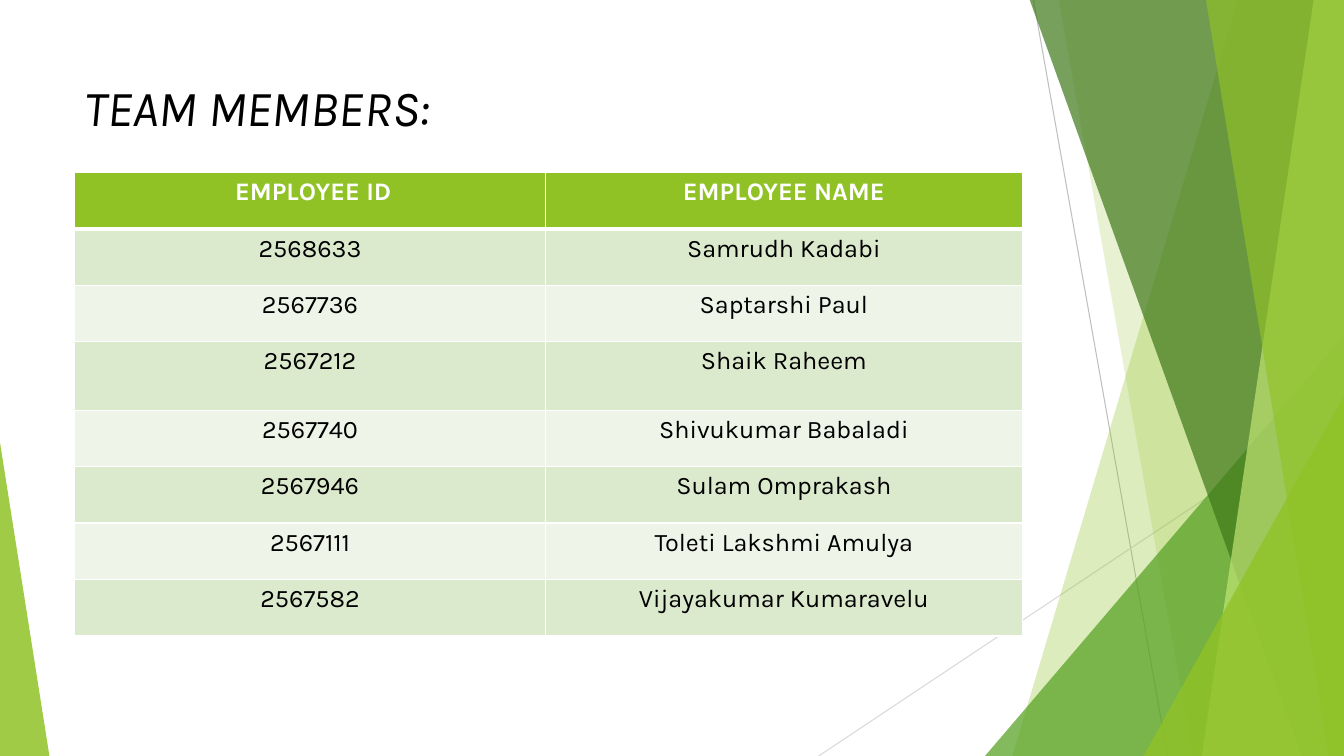
"""Build the team members slide with its green faceted backdrop."""
from dataclasses import dataclass

from lxml import etree
from pptx import Presentation
from pptx import util as u
from pptx.dml.color import RGBColor
from pptx.enum import shapes, text
from pptx.oxml import ns

WIDTH, HEIGHT, TOP = 13.33, 7.5, -0.01


@dataclass(frozen=True)
class Theme:
    """Colours, font and type sizes of the slide."""
    font: str = "Karla"
    title_size: int = 36
    table_size: int = 18
    black: str = "000000"
    white: str = "FFFFFF"
    green: str = "90C226"
    leaf: str = "54A021"
    forest: str = "3F7819"
    lime: str = "C0E474"
    band_dark: str = "DBE9CD"
    band_light: str = "EEF4E8"
    grey: str = "BFBFBF"
    pale_grey: str = "D9D9D9"


THEME = Theme()


@dataclass(frozen=True)
class Ray:
    """Thin line from one point to another."""
    start: tuple[float, float]
    end: tuple[float, float]
    color: str


@dataclass(frozen=True)
class Shard:
    """Panel between a slanted left edge and the right side of the slide."""
    top_x: float
    bottom_x: float
    color: str
    opacity: int


@dataclass(frozen=True)
class Wedge:
    """Right triangle standing on the bottom of the slide."""
    left: float
    width: float
    height: float
    apex: int
    color: str
    opacity: int


@dataclass(frozen=True)
class Member:
    """One row of the team table."""
    employee_id: str
    name: str


RAYS = (
    Ray((10.25, 0), (11.58, HEIGHT), THEME.grey),
    Ray((WIDTH, 4.03), (8.12, HEIGHT), THEME.pale_grey),
)
FACETS = (
    Shard(12.28, 10.04, THEME.green, 30),
    Shard(10.5, 11.83, THEME.green, 20),
    Wedge(9.77, 3.56, 4.17, 1, THEME.leaf, 72),
    Shard(10.21, 12.91, THEME.forest, 70),
    Shard(13.03, 11.92, THEME.lime, 70),
    Shard(11.96, 13.18, THEME.green, 65),
    Wedge(11.34, 1.99, 3.57, 1, THEME.green, 80),
    Wedge(0, 0.49, 3.11, 0, THEME.green, 85),
)
HEADER = Member(" EMPLOYEE ID", "EMPLOYEE NAME")
MEMBERS = (
    Member("2568633", "Samrudh Kadabi"),
    Member("2567736", "Saptarshi Paul"),
    Member("2567212", "Shaik Raheem"),
    Member("2567740", "Shivukumar Babaladi"),
    Member("2567946", "Sulam Omprakash"),
    Member("2567111", "Toleti Lakshmi Amulya"),
    Member("2567582", "Vijayakumar Kumaravelu"),
)
COLUMN_WIDTHS = (4.67, 4.73)
ROW_HEIGHT, TALL_ROW, TALL_HEIGHT = 0.56, 3, 0.68


def draw_ray(slide, ray: Ray) -> None:
    """Draw a thin line without a shadow."""
    points = [u.Inches(value) for value in (*ray.start, *ray.end)]
    connector = slide.shapes.add_connector(shapes.MSO_CONNECTOR.STRAIGHT, *points)
    connector.line.color.rgb = RGBColor.from_string(ray.color)
    connector.line.width = u.Pt(0.75)
    properties = connector._element.spPr
    etree.SubElement(properties, ns.qn("a:effectLst"))


def draw_facet(slide, facet: Shard | Wedge) -> None:
    """Draw one translucent panel of the backdrop."""
    if isinstance(facet, Shard):
        corners = ((WIDTH, TOP), (WIDTH, HEIGHT), (facet.bottom_x, HEIGHT))
        builder = slide.shapes.build_freeform(u.Inches(facet.top_x), u.Inches(TOP))
        builder.add_line_segments([(u.Inches(x), u.Inches(y)) for x, y in corners])
        shape = builder.convert_to_shape()
    else:
        box = (facet.left, HEIGHT - facet.height, facet.width, facet.height)
        shape = slide.shapes.add_shape(
            shapes.MSO_SHAPE.ISOSCELES_TRIANGLE, *(u.Inches(value) for value in box))
        shape.adjustments[0] = facet.apex
    shape.shadow.inherit = False
    shape.line.fill.background()
    shape.fill.solid()
    shape.fill.fore_color.rgb = RGBColor.from_string(facet.color)
    color = shape._element.spPr.find(ns.qn("a:solidFill"))[0]
    etree.SubElement(color, ns.qn("a:alpha"), val=str(facet.opacity * 1000))


def write(paragraph, words: str, color: str, **formats) -> None:
    """Write one formatted run."""
    run = paragraph.add_run()
    run.text = words
    for name, value in {"name": THEME.font, **formats}.items():
        setattr(run.font, name, value)
    run.font.color.rgb = RGBColor.from_string(color)


def draw_title(slide) -> None:
    """Draw the slide title."""
    box = (0.74, 0.67, sum(COLUMN_WIDTHS), 0.73)
    frame = slide.shapes.add_textbox(*(u.Inches(value) for value in box)).text_frame
    frame.word_wrap = True
    frame.vertical_anchor = text.MSO_ANCHOR.BOTTOM
    write(frame.paragraphs[0], "TEAM MEMBERS:", THEME.black,
          size=u.Pt(THEME.title_size), italic=True)


def set_borders(cell, widths: dict[str, int]) -> None:
    """Give a cell white borders, ahead of its fill."""
    properties = cell._tc.get_or_add_tcPr()
    for index, (side, width) in enumerate(widths.items()):
        border = etree.Element(ns.qn(f"a:{side}"), w=str(u.Pt(width)))
        fill = etree.SubElement(border, ns.qn("a:solidFill"))
        etree.SubElement(fill, ns.qn("a:srgbClr"), val=THEME.white)
        properties.insert(index, border)


def draw_table(slide) -> None:
    """Draw the table of team members."""
    rows = (HEADER, *MEMBERS)
    box = (0.74, 1.71, sum(COLUMN_WIDTHS), ROW_HEIGHT * len(rows))
    table = slide.shapes.add_table(
        len(rows), len(COLUMN_WIDTHS), *(u.Inches(value) for value in box)).table
    for column, width in zip(table.columns, COLUMN_WIDTHS):
        column.width = u.Inches(width)
    for index, member in enumerate(rows):
        is_header = index == 0
        band = THEME.band_dark if index % 2 else THEME.band_light
        height = TALL_HEIGHT if index == TALL_ROW else ROW_HEIGHT
        table.rows[index].height = u.Inches(height)
        for cell, words in zip(table.rows[index].cells, (member.employee_id, member.name)):
            cell.fill.solid()
            cell.fill.fore_color.rgb = RGBColor.from_string(
                THEME.green if is_header else band)
            set_borders(cell, {"lnL": 1, "lnR": 1, "lnT": 3 if index == 1 else 1,
                               "lnB": 3 if is_header else 1})
            paragraph = cell.text_frame.paragraphs[0]
            paragraph.alignment = text.PP_ALIGN.CENTER
            write(paragraph, words, THEME.white if is_header else THEME.black,
                  size=u.Pt(THEME.table_size), bold=is_header)


def main() -> None:
    """Build and save the presentation."""
    presentation = Presentation()
    presentation.slide_width = u.Inches(WIDTH)
    presentation.slide_height = u.Inches(HEIGHT)
    slide = presentation.slides.add_slide(presentation.slide_layouts[6])
    for ray in RAYS:
        draw_ray(slide, ray)
    for facet in FACETS:
        draw_facet(slide, facet)
    draw_title(slide)
    draw_table(slide)
    presentation.save("out.pptx")


if __name__ == "__main__":
    main()
